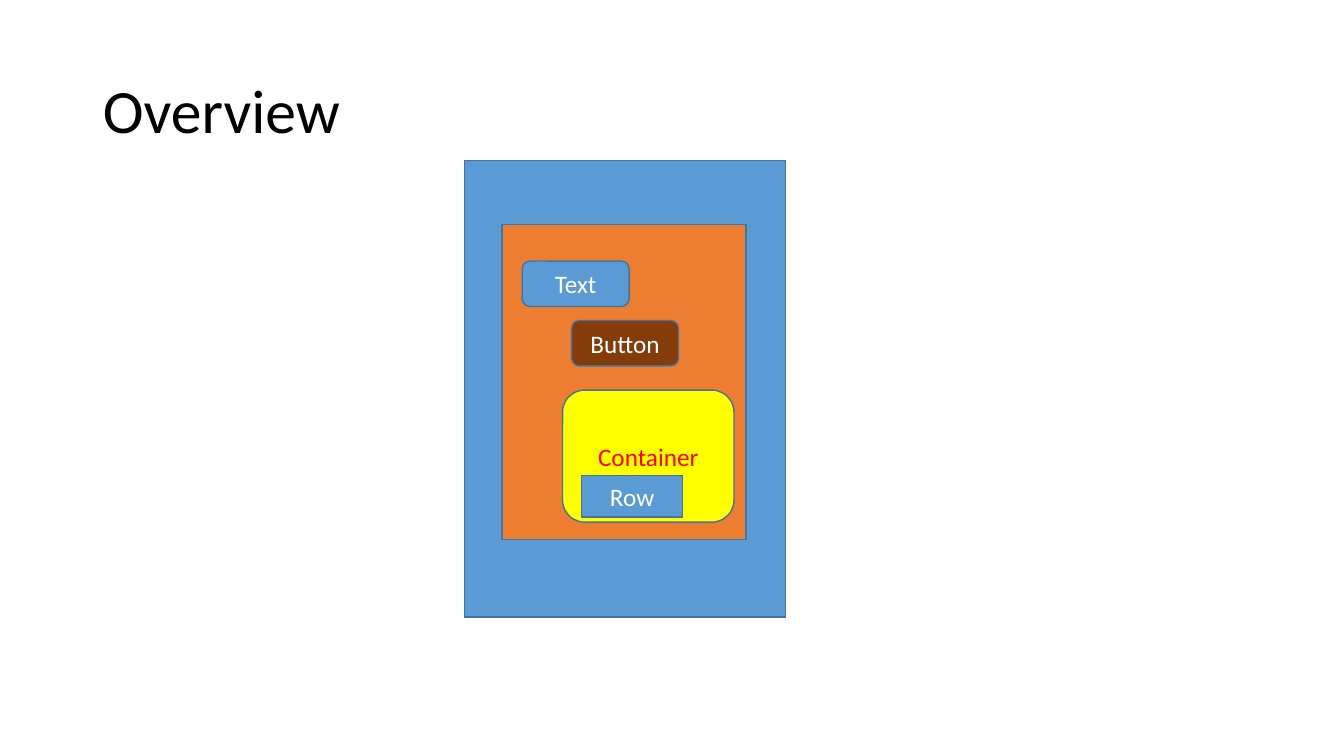
from dataclasses import dataclass

from pptx import Presentation
from pptx.dml.color import RGBColor
from pptx.enum.shapes import MSO_SHAPE
from pptx.enum.text import MSO_ANCHOR, PP_ALIGN
from pptx.slide import Slide
from pptx.text.text import TextFrame
from pptx.util import Emu, Pt

PX = 9144
FONT = "Calibri"
HUES = {
    "black": "000000",
    "white": "FFFFFF",
    "blue": "5B9BD5",
    "edge": "43739E",
    "orange": "ED7D31",
    "brown": "843C0B",
    "yellow": "FFFF00",
    "red": "FF0000",
}


@dataclass(frozen=True)
class Box:
    """A filled block of the widget tree, measured in px."""

    left: int
    top: int
    width: int
    height: int
    fill: str
    text: str = ""
    ink: str = "white"
    form: MSO_SHAPE = MSO_SHAPE.RECTANGLE


ROUND = MSO_SHAPE.ROUNDED_RECTANGLE
BOXES = [
    Box(461, 159, 318, 453, "blue"),
    Box(498, 223, 242, 312, "orange"),
    Box(518, 259, 106, 45, "blue", "Text", form=ROUND),
    Box(567, 318, 106, 45, "brown", "Button", form=ROUND),
    Box(558, 387, 170, 131, "yellow", "Container", "red", ROUND),
    Box(577, 472, 100, 41, "blue", "Row"),
]


def px(count: int) -> Emu:
    """Turn px into EMU."""
    return Emu(count * PX)


def hue(name: str) -> RGBColor:
    """Look up a named colour."""
    return RGBColor.from_string(HUES[name])


def write(frame: TextFrame, text: str, *, size: int = 18, ink: str = "white",
          align: PP_ALIGN = PP_ALIGN.CENTER, lead: float = 1.0) -> None:
    """Fill a text frame with one formatted line."""
    frame.word_wrap = True
    frame.vertical_anchor = MSO_ANCHOR.MIDDLE
    line = frame.paragraphs[0]
    line.alignment = align
    line.line_spacing = lead
    run = line.add_run()
    run.text = text
    run.font.name = FONT
    run.font.size = Pt(size)
    run.font.color.rgb = hue(ink)


def draw(slide: Slide, box: Box) -> None:
    """Draw one block with its label."""
    shape = slide.shapes.add_shape(
        box.form, px(box.left), px(box.top), px(box.width), px(box.height))
    shape.shadow.inherit = False
    shape.fill.solid()
    shape.fill.fore_color.rgb = hue(box.fill)
    shape.line.color.rgb = hue("edge")
    shape.line.width = Pt(1)
    if box.text:
        write(shape.text_frame, box.text, ink=box.ink)


def main() -> None:
    """Build and save the slide."""
    deck = Presentation()
    deck.slide_width, deck.slide_height = px(1333), px(750)
    slide = deck.slides.add_slide(deck.slide_layouts.get_by_name("Title Only"))
    title = slide.shapes.title
    title.left, title.top = px(92), px(40)
    title.width, title.height = px(1150), px(145)
    write(title.text_frame, "Overview", size=44, ink="black",
          align=PP_ALIGN.LEFT, lead=0.9)
    for box in BOXES:
        draw(slide, box)
    deck.save("out.pptx")


if __name__ == "__main__":
    main()
